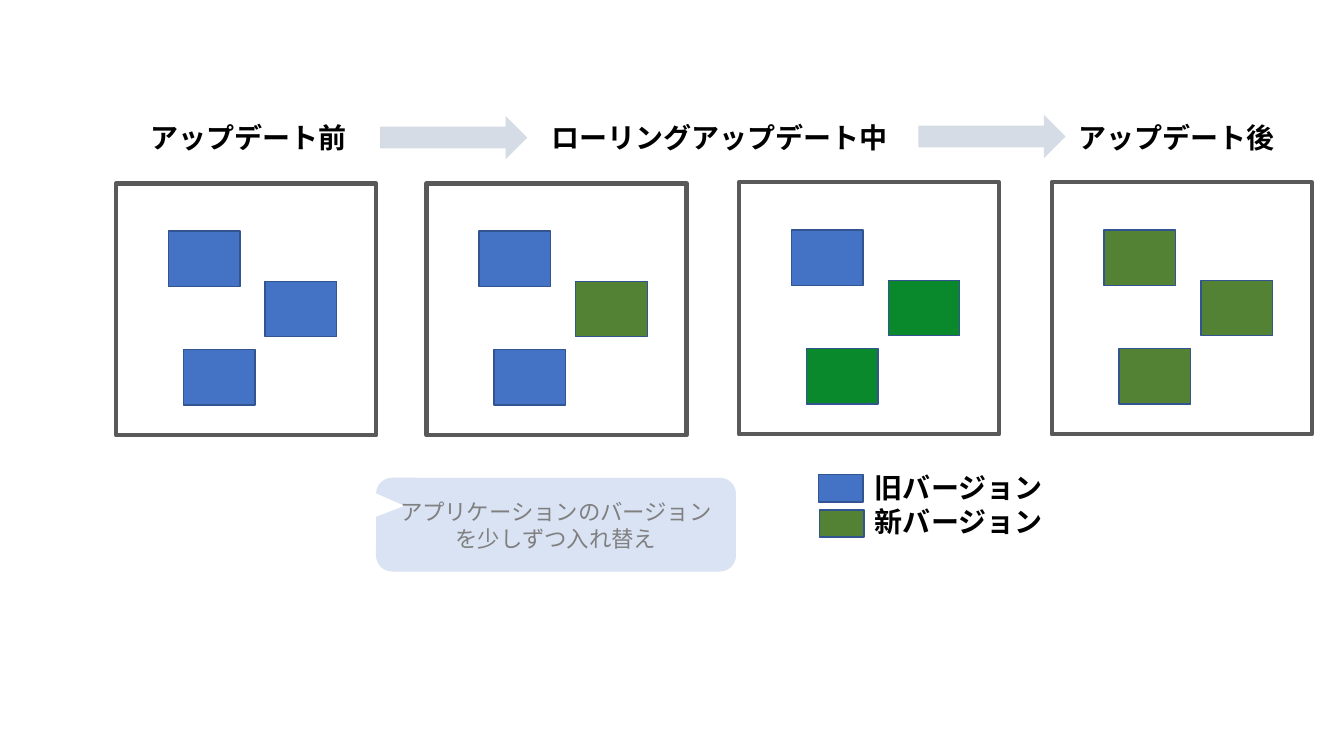
from pptx import Presentation
from pptx.dml.color import RGBColor
from pptx.enum.shapes import MSO_SHAPE
from pptx.enum.text import MSO_ANCHOR, PP_ALIGN
from pptx.oxml.ns import qn
from pptx.util import Inches, Pt
from lxml.etree import SubElement

FONT = "Noto Sans CJK JP"
OLD = RGBColor(0x44, 0x72, 0xC4)
NEW = RGBColor(0x54, 0x82, 0x35)
NEW_BRIGHT = RGBColor(0x09, 0x89, 0x2B)
EDGE = RGBColor(0x32, 0x54, 0x91)
FRAME = RGBColor(0x59, 0x59, 0x59)
ARROW = RGBColor(0xD6, 0xDC, 0xE5)
CALLOUT = RGBColor(0xDA, 0xE3, 0xF3)
BLACK = RGBColor(0, 0, 0)
GRAY = RGBColor(0x80, 0x80, 0x80)

# Left and top of each cluster, then the versions of its three instances
CLUSTERS = [
    (1.15, 1.82, (OLD, OLD, OLD)),
    (4.23, 1.82, (OLD, NEW, OLD)),
    (7.33, 1.81, (OLD, NEW_BRIGHT, NEW_BRIGHT)),
    (10.43, 1.81, (NEW, NEW, NEW)),
]
INSTANCE_OFFSETS = [(0.52, 0.47), (1.48, 0.97), (0.67, 1.65)]


def add_box(s, kind, x, y, w, h, fill=None, line=None, width=1):
    sp = s.shapes.add_shape(kind, Inches(x), Inches(y), Inches(w), Inches(h))
    sp.shadow.inherit = False
    if fill is None:
        sp.fill.background()
    else:
        sp.fill.solid()
        sp.fill.fore_color.rgb = fill
    if line is None:
        sp.line.fill.background()
    else:
        sp.line.color.rgb = line
        sp.line.width = Pt(width)
    return sp


def add_run(p, text, size, color, bold=False):
    r = p.add_run()
    r.text = text
    r.font.name = FONT
    r.font.size = Pt(size)
    r.font.bold = bold
    r.font.color.rgb = color
    SubElement(r.font._element, qn("a:ea"), typeface=FONT)


def add_label(s, x, y, w, h, *lines):
    tf = s.shapes.add_textbox(Inches(x), Inches(y), Inches(w), Inches(h)).text_frame
    tf.word_wrap = True
    tf.vertical_anchor = MSO_ANCHOR.MIDDLE
    tf.margin_top = tf.margin_bottom = 0
    for i, line in enumerate(lines):
        p = tf.add_paragraph() if i else tf.paragraphs[0]
        add_run(p, line, 20, BLACK, bold=True)


def add_cluster(s, x, y, versions):
    add_box(s, MSO_SHAPE.RECTANGLE, x, y, 2.58, 2.5, line=FRAME, width=3)
    for (dx, dy), version in zip(INSTANCE_OFFSETS, versions):
        add_box(s, MSO_SHAPE.RECTANGLE, x + dx, y + dy, 0.71, 0.55, version, EDGE)


def add_callout(s, text):
    sp = add_box(s, MSO_SHAPE.ROUNDED_RECTANGULAR_CALLOUT, 3.73, 4.74, 3.57, 0.93, CALLOUT)
    for i, value in enumerate((-0.42, -0.2, 0.17)):
        sp.adjustments[i] = value
    tf = sp.text_frame
    tf.word_wrap = True
    tf.vertical_anchor = MSO_ANCHOR.MIDDLE
    p = tf.paragraphs[0]
    p.alignment = PP_ALIGN.CENTER
    add_run(p, text, 16, GRAY)


def main():
    prs = Presentation()
    prs.slide_width, prs.slide_height = Inches(13.33), Inches(7.5)
    s = prs.slides.add_slide(prs.slide_layouts[6])

    for cluster in CLUSTERS:
        add_cluster(s, *cluster)
    add_label(s, 1.39, 1.19, 3.7, 0.34, "アップデート前")
    add_label(s, 5.37, 1.19, 3.7, 0.34, "ローリングアップデート中")
    add_label(s, 10.6, 1.19, 2.25, 0.34, "アップデート後")
    for x, y in ((3.77, 1.15), (9.11, 1.14)):
        add_box(s, MSO_SHAPE.RIGHT_ARROW, x, y, 1.46, 0.43, ARROW)

    for x, y, version in ((8.12, 4.71, OLD), (8.13, 5.06, NEW)):
        add_box(s, MSO_SHAPE.RECTANGLE, x, y, 0.44, 0.27, version, EDGE)
    add_label(s, 8.58, 4.67, 3.7, 0.67, "旧バージョン", "新バージョン")
    add_callout(s, "アプリケーションのバージョンを少しずつ入れ替え")

    prs.save("out.pptx")


if __name__ == "__main__":
    main()
